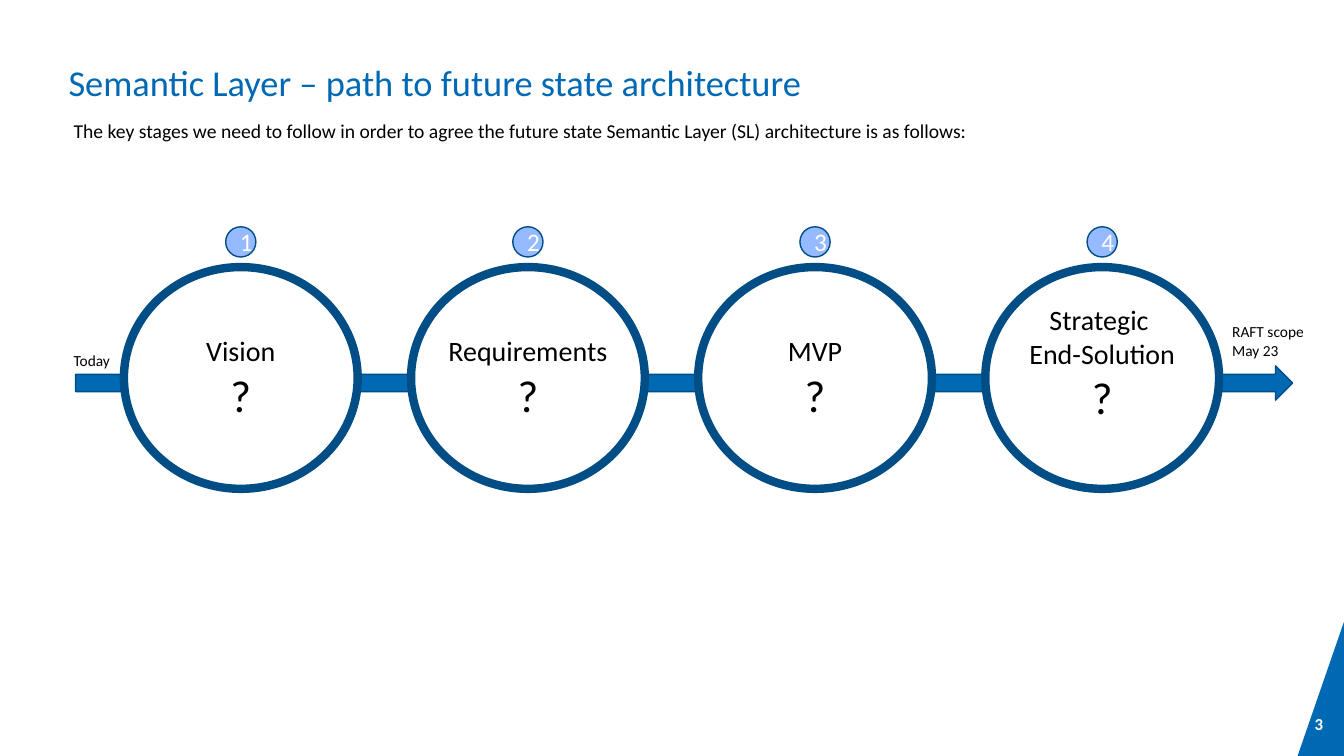
import pptx
import pptx.util
import pptx.dml.color
import pptx.enum.shapes
import pptx.enum.text

CELL = pptx.util.Inches(0.1)  # side of one square grid cell
COLS, ROWS = 133.4, 75
FONT = "Calibri"
HUES = {"blue": "0069B4", "navy": "004E85", "pale": "96BAFF",
        "white": "FFFFFF", "black": "000000"}
KINDS = pptx.enum.shapes.MSO_SHAPE
ALIGN = pptx.enum.text.PP_ALIGN
STAGES = [["Vision"], ["Requirements"], ["MVP"], ["Strategic ", "End-Solution"]]
FIRST, PITCH = 23.9, 28.5  # column of the first stage's centre, step to the next


def grid(*cells):
    """Turn columns and rows into lengths."""
    return [round(cell * CELL) for cell in cells]


def hue(name):
    return pptx.dml.color.RGBColor.from_string(HUES[name])


def write(frame, lines, color="black", align=ALIGN.LEFT, bold=False):
    """Fill a text frame with one paragraph per (text, size) pair."""
    for i, (text, size) in enumerate(lines):
        para = frame.add_paragraph() if i else frame.paragraphs[0]
        para.alignment = align
        run = para.add_run()
        run.text = text
        run.font.name = FONT
        run.font.size = pptx.util.Pt(size)
        run.font.bold = bold
        run.font.color.rgb = hue(color)


def trim(frame):
    frame.margin_left = frame.margin_right = 0
    frame.margin_top = frame.margin_bottom = 0
    frame.word_wrap = True


def label(slide, box, lines, align=ALIGN.LEFT):
    frame = slide.shapes.add_textbox(*grid(*box)).text_frame
    trim(frame)
    write(frame, lines, align=align)


def paint(shape, fill, line=None, width=1):
    shape.shadow.inherit = False
    shape.fill.solid()
    shape.fill.fore_color.rgb = hue(fill)
    if line:
        shape.line.color.rgb = hue(line)
        shape.line.width = pptx.util.Pt(width)
    else:
        shape.line.fill.background()


def form(slide, kind, box, fill, width=1):
    shape = slide.shapes.add_shape(kind, *grid(*box))
    paint(shape, fill, "navy", width)
    return shape


def corner(slide, number):
    """Draw the slanted corner with the page number."""
    left, top = COLS - 4.6, ROWS - 13.3
    build = slide.shapes.build_freeform(*grid(left, ROWS))
    build.add_line_segments([grid(COLS, top), grid(COLS, ROWS)], close=True)
    paint(build.convert_to_shape(), "blue")
    frame = slide.shapes.add_textbox(*grid(129.5, 70.3, 4, 3)).text_frame
    frame.word_wrap = False
    write(frame, [(number, 12)], "white", bold=True)


def head(slide, text):
    title = slide.shapes.title
    title.left, title.top, title.width, title.height = grid(6.8, 5.6, 120.8, 3.9)
    frame = title.text_frame
    trim(frame)
    frame.auto_size = pptx.enum.text.MSO_AUTO_SIZE.NONE
    frame.vertical_anchor = pptx.enum.text.MSO_ANCHOR.TOP
    write(frame, [(text, 26)], "blue")
    frame.paragraphs[0].line_spacing = 1.08


def stage(slide, index, names):
    """Draw a ring with its names, a question mark and a numbered badge."""
    mid = FIRST + index * PITCH
    form(slide, KINDS.OVAL, (mid - 11.6, 26.5, 23.2, 22), "white", 6)
    extra = 3.1 * (len(names) - 1)
    lines = [(name, 20) for name in names] + [("?", 32)]
    label(slide, (mid - 8.6, 33.1 - extra, 17.2, 8.8 + extra), lines, ALIGN.CENTER)
    badge = form(slide, KINDS.OVAL, (mid - 1.5, 22.5, 3, 3), "pale")
    write(badge.text_frame, [(str(index + 1), 18)], "white", ALIGN.CENTER)


def main():
    deck = pptx.Presentation()
    deck.slide_width, deck.slide_height = grid(COLS, ROWS)
    slide = deck.slides.add_slide(deck.slide_layouts[5])
    corner(slide, "3")
    head(slide, "Semantic Layer – path to future state architecture")
    label(slide, (7.3, 11.8, 109.8, 2.4),
          [("The key stages we need to follow in order to agree the future state "
            "Semantic Layer (SL) architecture is as follows:", 14)])
    form(slide, KINDS.RIGHT_ARROW, (7.5, 36.3, 120.8, 3.4), "blue")
    for index, names in enumerate(STAGES):
        stage(slide, index, names)
    label(slide, (7.3, 34.8, 4.9, 1.9), [("Today", 11)])
    label(slide, (122.3, 32, 7.9, 3.7), [("RAFT scope", 11), ("May 23", 11)])
    deck.save("out.pptx")


if __name__ == "__main__":
    main()
